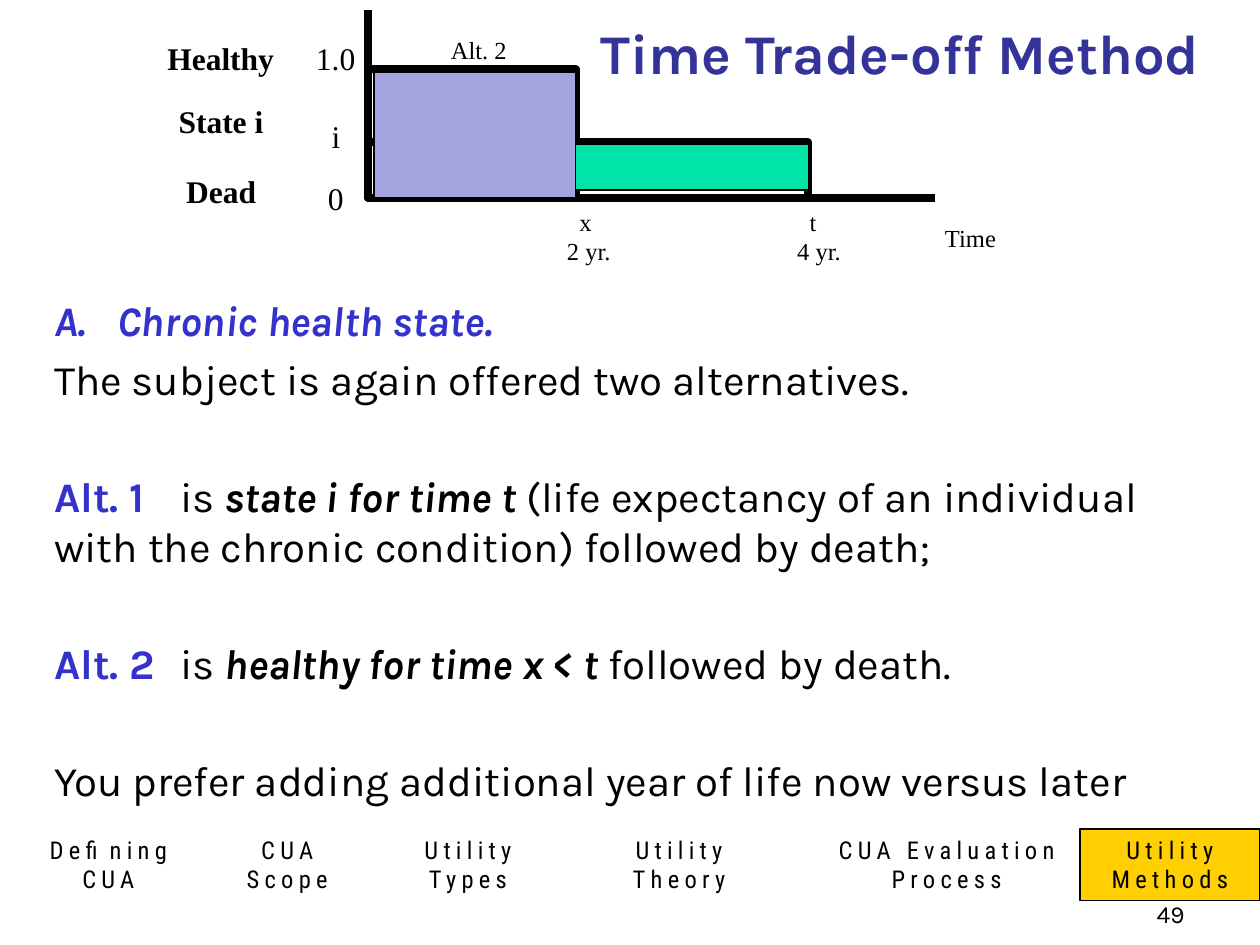
from lxml.etree import SubElement
from pptx import Presentation
from pptx.dml.color import RGBColor
from pptx.enum.shapes import MSO_CONNECTOR, MSO_SHAPE
from pptx.enum.text import MSO_ANCHOR, PP_ALIGN
from pptx.oxml.ns import qn
from pptx.util import Cm, Pt

SERIF, SANS, NARROW = "Times New Roman", "Karla", "Roboto Condensed"
BLACK, BLUE, WHITE = "000000", "3333CC", "FFFFFF"
AXIS_X, X_TIME, T_TIME, AXIS_END = 7.42, 11.61, 16.29, 18.85
BASE_Y, HEALTHY_Y, STATE_Y = 3.99, 1.4, 2.87
LABEL_X, VALUE_X = 4.47, 6.78
AXIS_WIDTH = 4.5


def color(value):
    """Turn a hex string into a colour."""
    return RGBColor.from_string(value)


def add_run(p, text, font, size, fill=BLACK, bold=False, italic=False, spacing=0):
    """Append one formatted run to a paragraph."""
    r = p.add_run()
    r.text = text
    r.font.name, r.font.size = font, Pt(size)
    r.font.bold, r.font.italic = bold, italic
    r.font.color.rgb = color(fill)
    if spacing:
        r._r.get_or_add_rPr().set("spc", str(spacing * 100))


def next_paragraph(tf, index):
    """Return the first paragraph or append another."""
    return tf.add_paragraph() if index else tf.paragraphs[0]


def add_text(s, box, lines, font, size, wrap=False, bold=False, fill=BLACK,
             align=PP_ALIGN.LEFT, anchor=MSO_ANCHOR.TOP):
    """Add a text box with one paragraph per line."""
    tf = s.shapes.add_textbox(*map(Cm, box)).text_frame
    tf.word_wrap, tf.vertical_anchor = wrap, anchor
    for i, line in enumerate(lines):
        p = next_paragraph(tf, i)
        p.alignment = align
        add_run(p, line, font, size, fill, bold)
    return tf


def add_label(s, text, center, top, width, bold=False):
    """Add a label of the vertical axis around a centre line."""
    add_text(s, (center - width / 2, top, width, 1.02), [text], SERIF, 18, bold=bold)


def add_time(s, box, name, years):
    """Add a time mark with its indented name above the years."""
    tf = add_text(s, box, [name, years], SERIF, 14)
    tf.paragraphs[0]._p.get_or_add_pPr().set("marL", str(Cm(0.25)))


def add_rect(s, box, fill, line, width):
    """Add a rectangle with an outline and an optional fill."""
    sp = s.shapes.add_shape(MSO_SHAPE.RECTANGLE, *map(Cm, box))
    sp.shadow.inherit = False
    if fill:
        sp.fill.solid()
        sp.fill.fore_color.rgb = color(fill)
    else:
        sp.fill.background()
    sp.line.color.rgb = color(line)
    sp.line.width = Pt(width)
    return sp


def add_axis(s, x1, y1, x2, y2):
    """Add a thick straight axis line."""
    c = s.shapes.add_connector(MSO_CONNECTOR.STRAIGHT, Cm(x1), Cm(y1), Cm(x2), Cm(y2))
    c.line.color.rgb = color(BLACK)
    c.line.width = Pt(AXIS_WIDTH)
    SubElement(c._element.spPr, qn("a:effectLst"))


def add_body(s):
    """Add the running text of the slide."""
    paragraphs = [
        (0, [("A.\tChronic health state.", BLUE, True, True)]),
        (4.8, [("The subject is again offered two alternatives.",)]),
        (38, [("Alt. 1", BLUE, True), ("\tis ",),
              ("state i for time t", BLACK, True, True),
              (" (life expectancy of an individual with the chronic condition)"
               " followed by death;",)]),
        (38, [("Alt. 2", BLUE, True), ("\tis ",),
              ("healthy for time x < t", BLACK, True, True),
              (" followed by death.",)]),
        (38, [("You prefer adding additional year of life now versus later",)]),
    ]
    tf = s.shapes.add_textbox(Cm(0.84), Cm(5.82), Cm(23.7), Cm(8.89)).text_frame
    tf.word_wrap = True
    for i, (before, runs) in enumerate(paragraphs):
        p = next_paragraph(tf, i)
        if before:
            p.space_before = Pt(before)
        for text, *style in runs:
            add_run(p, text, SANS, 24, *style)


def add_graph(s):
    """Add the health state graph over time."""
    add_axis(s, T_TIME, BASE_Y, AXIS_END, BASE_Y)
    add_rect(s, (AXIS_X, STATE_Y, T_TIME - AXIS_X, BASE_Y - STATE_Y),
             None, BLACK, AXIS_WIDTH)
    add_axis(s, AXIS_X, HEALTHY_Y, AXIS_X, 0.2)
    add_rect(s, (AXIS_X, HEALTHY_Y, X_TIME - AXIS_X, BASE_Y - HEALTHY_Y),
             None, BLACK, AXIS_WIDTH)
    for text, top, width in [("Healthy", 0.66, 2.69), ("State i", 1.93, 2.24),
                             ("Dead", 3.35, 1.93)]:
        add_label(s, text, LABEL_X, top, width, bold=True)
    for text, top, width in [("1.0", 0.66, 1.32), ("i", 2.24, 0.69), ("0", 3.48, 0.84)]:
        add_label(s, text, VALUE_X, top, width)
    add_text(s, (8.84, 0.58, 1.63, 0.84), ["Alt. 2"], SERIF, 14)
    add_time(s, (11.18, 4.04, 1.42, 1.45), "x", "2 yr.")
    add_time(s, (15.82, 4.04, 1.42, 1.45), "t", "4 yr.")
    add_text(s, (18.8, 4.37, 1.55, 0.84), ["Time"], SERIF, 14)
    add_rect(s, (7.54, 2.92, 8.76, 0.91), "00E4A8", BLACK, 0.75)
    add_rect(s, (7.54, 1.45, 4.06, 2.54), "A3A3E0", BLACK, 0.75)


def add_navigation(s):
    """Add the row of chapter tabs with the current one highlighted."""
    tabs = [(0.13, 4.11, "Defining", "CUA"), (3.86, 3.86, "CUA", "Scope"),
            (7.62, 3.63, "Utility", "Types"), (11.05, 5.28, "Utility", "Theory"),
            (16.33, 5.51, "CUA Evaluation", "Process"),
            (21.77, 3.63, "Utility", "Methods")]
    for left, width, *lines in tabs:
        current = lines[-1] == "Methods"
        sp = add_rect(s, (left, 16.71, width, 1.45), "FFCF01" if current else None,
                      BLACK if current else WHITE, 0.75)
        tf = sp.text_frame
        tf.word_wrap, tf.vertical_anchor = True, MSO_ANCHOR.TOP
        for i, line in enumerate(lines):
            p = next_paragraph(tf, i)
            p.alignment = PP_ALIGN.CENTER
            add_run(p, line, NARROW, 14, spacing=3)


def main():
    """Build and save the slide."""
    prs = Presentation()
    prs.slide_width, prs.slide_height = Cm(25.4), Cm(19.05)
    s = prs.slides.add_slide(prs.slide_layouts[6])
    add_text(s, (11.86, 0, 13.54, 2.11), ["Time Trade-off Method"], SANS, 32,
             wrap=True, bold=True, fill="333399", anchor=MSO_ANCHOR.MIDDLE)
    add_body(s)
    add_graph(s)
    add_navigation(s)
    add_text(s, (18.85, 17.58, 5.28, 1.27), ["49"], SANS, 14, wrap=True,
             align=PP_ALIGN.RIGHT, anchor=MSO_ANCHOR.BOTTOM)
    prs.save("out.pptx")


if __name__ == "__main__":
    main()
